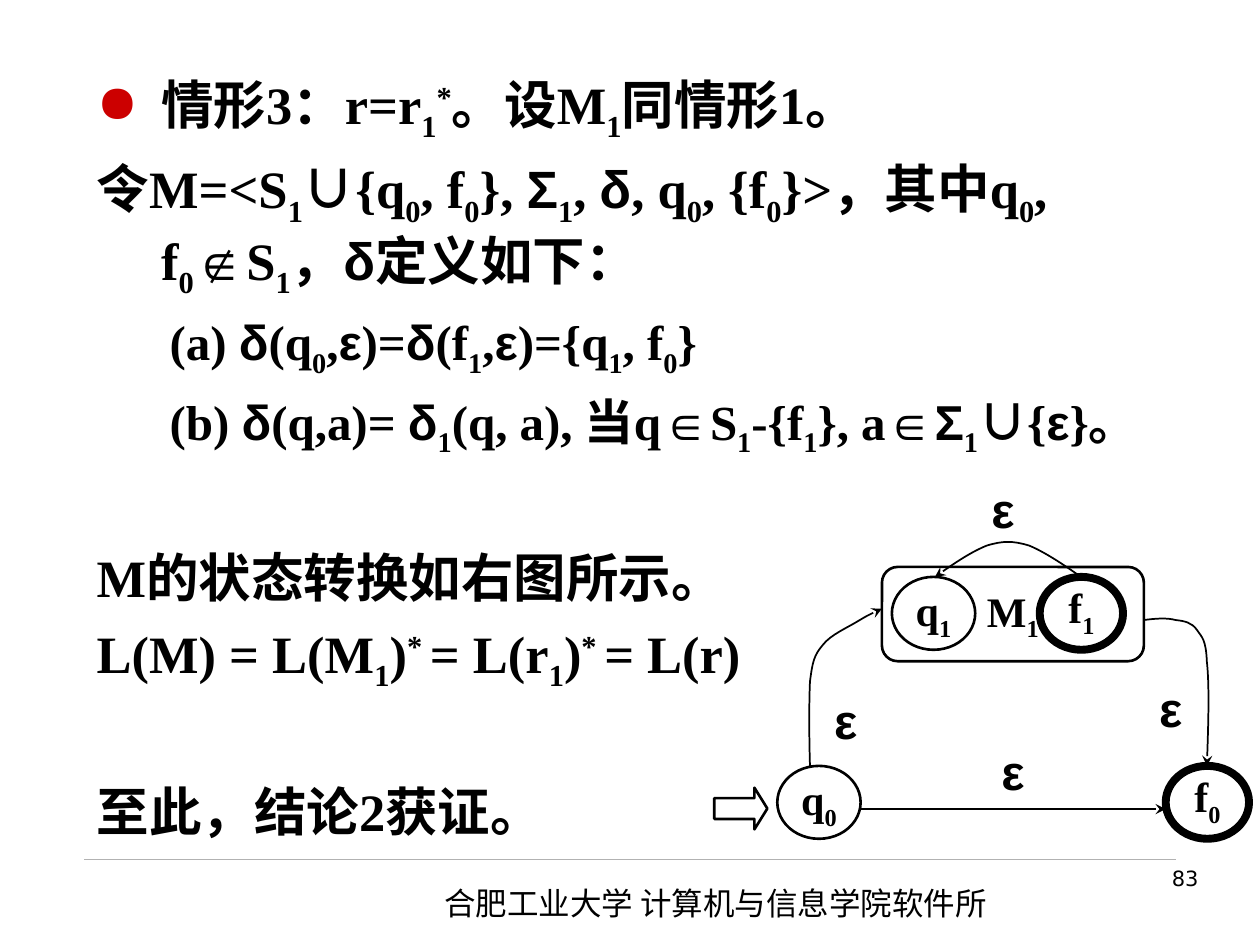
from dataclasses import dataclass
from itertools import groupby

from lxml.etree import SubElement
from pptx import Presentation
from pptx.dml.color import RGBColor
from pptx.enum.shapes import MSO_CONNECTOR, MSO_SHAPE
from pptx.enum.text import MSO_ANCHOR, PP_ALIGN
from pptx.oxml.ns import qn
from pptx.util import Cm, Pt

SERIF, SANS, CJK, NUMERAL = "Times New Roman", "Arial", "Noto Sans CJK SC", "DejaVu Sans"
BLACK, RED, GREY = "000000", "CC0000", "B2B2B2"
GLYPH_FONTS = {**dict.fromkeys("δεΣ∈∉", SANS), "∪": CJK}
SUBSCRIPT, SUPERSCRIPT = -25000, 30000
Point = tuple[float, float]


@dataclass
class Line:
    text: str
    size: float = 30
    left: float = 1.3
    hanging: float = 1.3
    before: float = 7.5
    level: int = 0
    bullet: str = ""


@dataclass
class Node:
    label: str
    left: float
    top: float
    width: float = 1.68
    height: float = 1.47
    kind: MSO_SHAPE = MSO_SHAPE.OVAL
    final: bool = False


GAP = 49.5
PROOF = [
    Line("情形3：r=r_1^*。设M_1同情形1。", bullet="●"),
    Line("令M=<S_1∪{q_0, f_0}, Σ_1, δ, q_0, {f_0}>，其中q_0, f_0∉S_1，δ定义如下："),
    Line("(a) δ(q_0,ε)=δ(f_1,ε)={q_1, f_0}", 28, 2.92, 1.45, 7, 1),
    Line("(b) δ(q,a)= δ_1(q, a), 当q∈S_1-{f_1}, a∈Σ_1∪{ε}。", 28, 2.92, 1.45, 7, 1),
    Line("M的状态转换如右图所示。", before=GAP),
    Line("L(M) = L(M_1)^*^ = L(r_1)^*^ = L(r)"),
    Line("至此，结论2获证。", before=GAP),
]
NODES = [
    Node("M_1", 17.78, 11.43, 5.28, 1.9, MSO_SHAPE.ROUNDED_RECTANGLE),
    Node("q_1", 17.98, 11.63),
    Node("f_1", 20.96, 11.63, final=True),
    Node("q_0", 15.67, 15.44),
    Node("f_0", 23.5, 15.44, final=True),
]
EPSILONS = [(22.43, 13.54), (15.88, 13.77), (19.05, 9.53), (19.25, 14.81)]
# Start point, then two control points and an end point for each Bézier segment
LOOP_BACK = [(21.79, 11.63),
             (21.44, 11.38), (21.06, 11.13), (20.75, 11),
             (20.42, 10.9), (20.22, 10.9), (19.89, 11),
             (19.58, 11.13), (19.2, 11.38), (18.85, 11.63)]
ENTER_M1 = [(16.33, 15.44),
            (16.31, 14.81), (16.31, 14.15), (16.33, 13.74),
            (16.38, 13.34), (16.41, 13.21), (16.59, 13),
            (16.74, 12.8), (17.09, 12.65), (17.3, 12.52),
            (17.5, 12.4), (17.63, 12.34), (17.78, 12.27)]
LEAVE_M1 = [(23.06, 12.5),
            (23.29, 12.47), (23.52, 12.45), (23.7, 12.5),
            (23.88, 12.52), (24.03, 12.55), (24.13, 12.7),
            (24.23, 12.85), (24.31, 12.88), (24.33, 13.34),
            (24.38, 13.79), (24.36, 14.63), (24.33, 15.44)]


def color(value: str) -> RGBColor:
    return RGBColor.from_string(value)


def style_paragraph(paragraph, size: float, font: str, bold: bool = False) -> None:
    face = paragraph.font
    face.size, face.name, face.bold = Pt(size), font, bold
    face.color.rgb = color(BLACK)
    defaults = paragraph._p.pPr.find(qn("a:defRPr"))
    SubElement(defaults, qn("a:ea")).set("typeface", CJK)


def write_formula(paragraph, text: str) -> None:
    """Add runs; _ lowers and ^ raises the character that follows it."""
    glyphs, baseline = [], 0
    for char in text:
        if char in "_^":
            baseline = SUBSCRIPT if char == "_" else SUPERSCRIPT
        else:
            glyphs.append((char, baseline, GLYPH_FONTS.get(char)))
            baseline = 0
    for (shift, font), group in groupby(glyphs, key=lambda glyph: glyph[1:]):
        run = paragraph.add_run()
        run.text = "".join(glyph[0] for glyph in group)
        if font:
            run.font.name = font
        if shift:
            run._r.get_or_add_rPr().set("baseline", str(shift))


def add_text(slide, left: float, top: float, width: float, height: float):
    frame = slide.shapes.add_textbox(Cm(left), Cm(top), Cm(width), Cm(height)).text_frame
    frame.word_wrap = True
    return frame


def add_proof(slide, lines: list[Line]) -> None:
    frame = add_text(slide, 1.7, 1.32, 22.86, 15.82)
    for index, line in enumerate(lines):
        paragraph = frame.add_paragraph() if index else frame.paragraphs[0]
        paragraph.level = line.level
        if index:
            paragraph.space_before = Pt(line.before)
        props = paragraph._p.get_or_add_pPr()
        props.set("marL", str(Cm(line.left)))
        props.set("indent", str(-Cm(line.hanging)))
        if line.bullet:
            SubElement(SubElement(props, qn("a:buClr")), qn("a:srgbClr")).set("val", RED)
            SubElement(props, qn("a:buChar")).set("char", line.bullet)
        else:
            SubElement(props, qn("a:buNone"))
        style_paragraph(paragraph, line.size, SERIF, bold=True)
        write_formula(paragraph, line.text)


def center_label(frame, text: str, size: float, font: str) -> None:
    frame.word_wrap = False
    frame.vertical_anchor = MSO_ANCHOR.MIDDLE
    paragraph = frame.paragraphs[0]
    paragraph.alignment = PP_ALIGN.CENTER
    style_paragraph(paragraph, size, font, bold=True)
    write_formula(paragraph, text)


def outline(shape, width: float) -> None:
    shape.shadow.inherit = False
    shape.fill.background()
    shape.line.color.rgb = color(BLACK)
    shape.line.width = Pt(width)


def add_node(slide, node: Node) -> None:
    shape = slide.shapes.add_shape(node.kind, Cm(node.left), Cm(node.top),
                                   Cm(node.width), Cm(node.height))
    outline(shape, 4.5 if node.final else 1.5)
    if node.final:
        shape.text_frame.margin_top = 0
    center_label(shape.text_frame, node.label, 24, SERIF)


def add_arrowhead(shape) -> None:
    line = shape._element.spPr.find(qn("a:ln"))
    SubElement(line, qn("a:tailEnd")).set("type", "stealth")


def add_curve(slide, points: list[Point]) -> None:
    start, *rest = [(Cm(x), Cm(y)) for x, y in points]
    builder = slide.shapes.build_freeform(*start)
    builder.add_line_segments(rest, close=False)
    curve = builder.convert_to_shape()
    steps = list(curve._element.iter(qn("a:lnTo")))
    for first, second, end in zip(steps[::3], steps[1::3], steps[2::3]):
        first.tag = qn("a:cubicBezTo")
        for step in (second, end):
            first.append(step[0])
            step.getparent().remove(step)
    outline(curve, 1)
    add_arrowhead(curve)


def add_straight(slide, start: Point, end: Point, stroke: str, width: float):
    line = slide.shapes.add_connector(MSO_CONNECTOR.STRAIGHT, *map(Cm, start + end))
    line.line.color.rgb = color(stroke)
    line.line.width = Pt(width)
    SubElement(line._element.spPr, qn("a:effectLst"))
    return line


def add_footer(slide) -> None:
    add_straight(slide, (1.7, 17.32), (23.7, 17.32), GREY, 0.25)
    school = add_text(slide, 8.71, 17.7, 11.99, 1.02).paragraphs[0]
    style_paragraph(school, 18, CJK)
    school.add_run().text = "合肥工业大学 计算机与信息学院软件所"
    number = add_text(slide, 18.9, 17.32, 5.51, 1.32).paragraphs[0]
    number.alignment = PP_ALIGN.RIGHT
    style_paragraph(number, 12, NUMERAL)
    number.add_run().text = "83"


def main() -> None:
    deck = Presentation()
    deck.slide_width, deck.slide_height = Cm(25.4), Cm(19.05)
    slide = deck.slides.add_slide(deck.slide_layouts[6])
    add_footer(slide)
    add_proof(slide, PROOF)
    entry = slide.shapes.add_shape(MSO_SHAPE.RIGHT_ARROW, Cm(14.4), Cm(15.88), Cm(1.07), Cm(0.84))
    entry.adjustments[1] = 0.31
    outline(entry, 1.5)
    for node in NODES:
        add_node(slide, node)
    for route in (LOOP_BACK, ENTER_M1, LEAVE_M1):
        add_curve(slide, route)
    add_arrowhead(add_straight(slide, (17.35, 16.31), (23.5, 16.31), BLACK, 1))
    for left, top in EPSILONS:
        center_label(add_text(slide, left, top, 2.34, 1.47), "ε", 28, SANS)
    deck.save("out.pptx")


if __name__ == "__main__":
    main()
